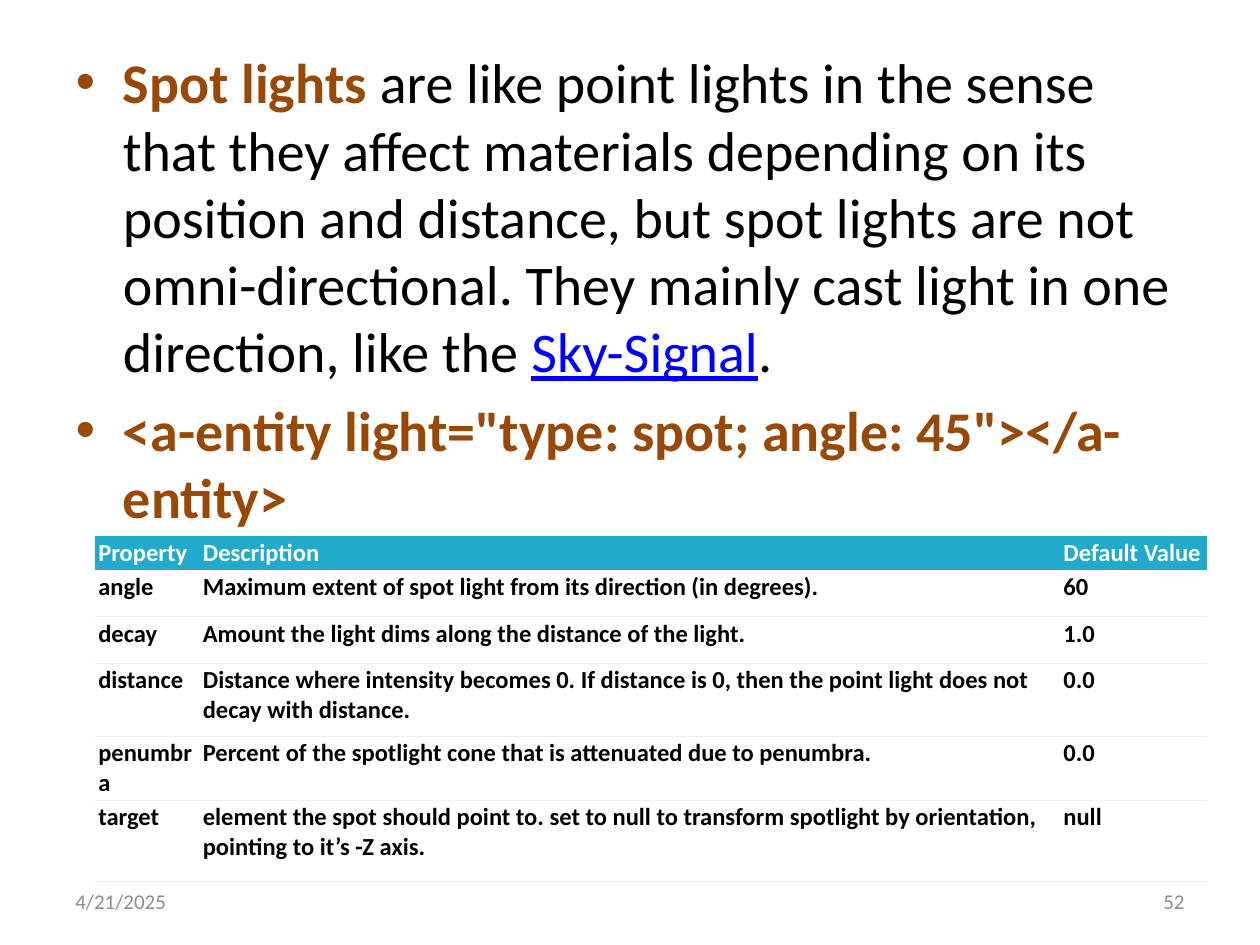
from lxml.etree import SubElement
from pptx import Presentation
from pptx.dml.color import RGBColor
from pptx.enum.text import MSO_ANCHOR, PP_ALIGN
from pptx.oxml.ns import qn
from pptx.util import Inches, Pt

FONT = "Calibri"
BROWN = RGBColor(0x98, 0x48, 0x07)
BLACK = RGBColor(0x00, 0x00, 0x00)
LINK_BLUE = RGBColor(0x00, 0x00, 0xFF)
GRAY = RGBColor(0x8C, 0x8C, 0x8C)
WHITE = RGBColor(0xFF, 0xFF, 0xFF)
HEADER_BLUE = RGBColor(0x22, 0xAA, 0xCC)
RULE_GRAY = RGBColor(0xEE, 0xEE, 0xEE)

# Each bullet is a list of runs: text, colour, bold, underline
BULLETS = [
    [
        ("Spot lights ", BROWN, True, False),
        ("are like point lights in the sense that they affect materials "
         "depending on its position and distance, but spot lights are not "
         "omni-directional. They mainly cast light in one direction, "
         "like the ", BLACK, False, False),
        ("Sky-Signal", LINK_BLUE, False, True),
        (".", BLACK, False, False),
    ],
    [('<a-entity light="type: spot; angle: 45"></a-entity>', BROWN, True, False)],
]

COLUMN_WIDTHS = [0.83, 6.83, 1.17]
ROW_HEIGHTS = [0.18, 0.37, 0.37, 0.58, 0.37, 0.65]
PROPERTIES = [
    ("Property", "Description", "Default Value"),
    ("angle", "Maximum extent of spot light from its direction (in degrees).", "60"),
    ("decay", "Amount the light dims along the distance of the light.", "1.0"),
    ("distance", "Distance where intensity becomes 0. If distance is 0, then the "
     "point light does not decay with distance.", "0.0"),
    ("penumbra", "Percent of the spotlight cone that is attenuated due to "
     "penumbra.", "0.0"),
    ("target", "element the spot should point to. set to null to transform "
     "spotlight by orientation, pointing to it’s -Z axis.", "null"),
]


def style_font(font, size, color, bold=False):
    font.name = FONT
    font.size = Pt(size)
    font.color.rgb = color
    font.bold = bold


def fill_body(body, left, top, width, height):
    body.left, body.top, body.width, body.height = left, top, width, height
    frame = body.text_frame
    for index, runs in enumerate(BULLETS):
        paragraph = frame.paragraphs[0] if index == 0 else frame.add_paragraph()
        for text, color, bold, underline in runs:
            run = paragraph.add_run()
            run.text = text
            style_font(run.font, 32, color, bold)
            run.font.underline = underline


def set_borders(cell, top, bottom):
    """Draw the thin rules above and below a cell, and no rules at its sides."""
    properties = cell._tc.get_or_add_tcPr()
    sides = [("a:lnL", False), ("a:lnR", False), ("a:lnT", top), ("a:lnB", bottom)]
    for tag, visible in sides:
        line = SubElement(properties, qn(tag), w=str(Pt(0.6)))
        if visible:
            fill = SubElement(line, qn("a:solidFill"))
            SubElement(fill, qn("a:srgbClr"), val=str(RULE_GRAY))
        else:
            SubElement(line, qn("a:noFill"))


def add_property_table(slide, left, top, width, height):
    table = slide.shapes.add_table(
        len(PROPERTIES), len(COLUMN_WIDTHS), left, top, width, height).table
    table.horz_banding = False
    for column, column_width in zip(table.columns, COLUMN_WIDTHS):
        column.width = Inches(column_width)
    for row, row_height in zip(table.rows, ROW_HEIGHTS):
        row.height = Inches(row_height)
    for row_index, texts in enumerate(PROPERTIES):
        header = row_index == 0
        for column_index, text in enumerate(texts):
            cell = table.cell(row_index, column_index)
            cell.text = text
            cell.margin_left = cell.margin_right = Inches(0.03)
            cell.margin_top = cell.margin_bottom = Inches(0.02)
            cell.vertical_anchor = MSO_ANCHOR.MIDDLE if header else MSO_ANCHOR.TOP
            style_font(cell.text_frame.paragraphs[0].font, 14,
                       WHITE if header else BLACK, bold=True)
            set_borders(cell, top=row_index > 1, bottom=not header)
            cell.fill.solid()
            cell.fill.fore_color.rgb = HEADER_BLUE if header else WHITE


def add_footer_text(slide, text, alignment, left, top, width, height):
    frame = slide.shapes.add_textbox(left, top, width, height).text_frame
    frame.word_wrap = True
    frame.vertical_anchor = MSO_ANCHOR.MIDDLE
    paragraph = frame.paragraphs[0]
    paragraph.text = text
    paragraph.alignment = alignment
    style_font(paragraph.font, 12, GRAY)


def main():
    presentation = Presentation()
    presentation.slide_width = Inches(10)
    presentation.slide_height = Inches(7.5)
    slide = presentation.slides.add_slide(presentation.slide_layouts[1])
    title = slide.shapes.title.element
    title.getparent().remove(title)

    fill_body(slide.placeholders[1],
              Inches(0.5), Inches(0.33), Inches(9), Inches(6.37))
    footers = [("4/21/2025", PP_ALIGN.LEFT, 0.5), ("52", PP_ALIGN.RIGHT, 7.17)]
    for text, alignment, left in footers:
        add_footer_text(slide, text, alignment,
                        Inches(left), Inches(6.95), Inches(2.33), Inches(0.4))
    add_property_table(slide, Inches(0.75), Inches(4.25), Inches(8.83),
                       Inches(sum(ROW_HEIGHTS)))
    presentation.save("out.pptx")


if __name__ == "__main__":
    main()
